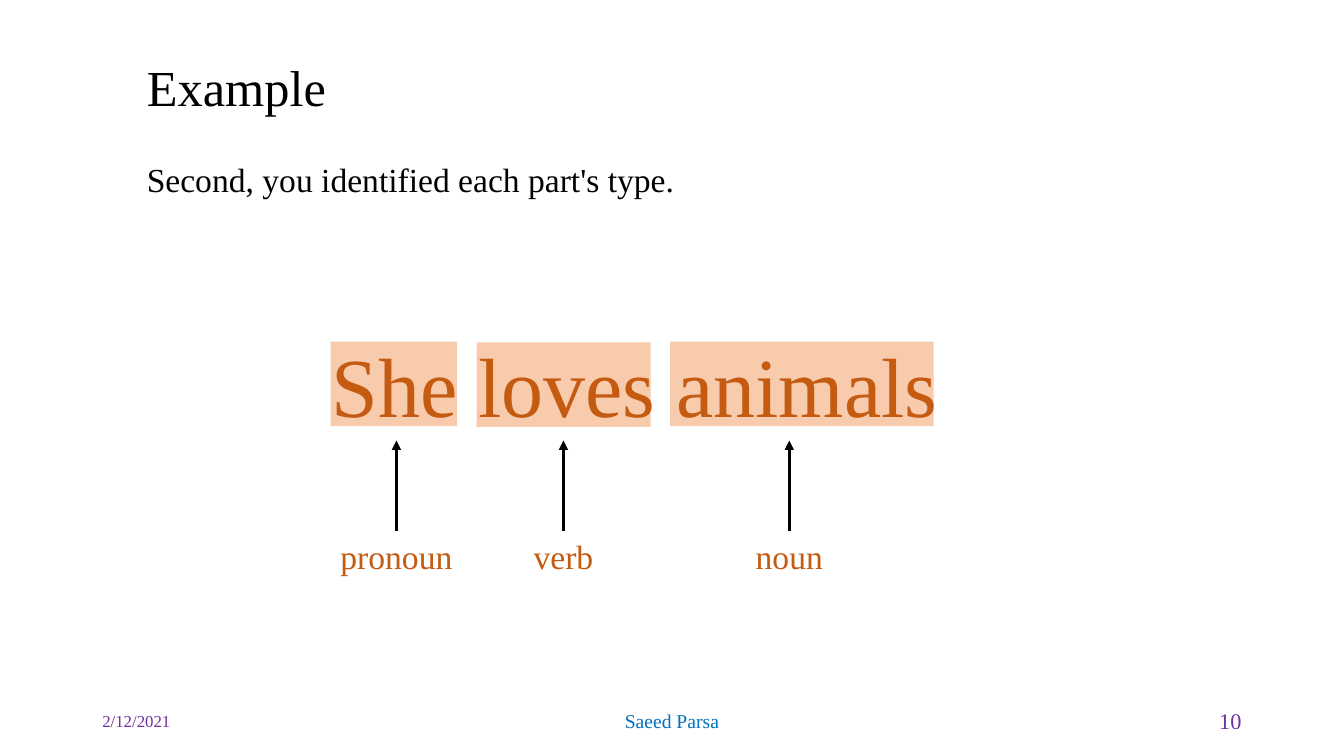
from lxml.etree import SubElement
from pptx import Presentation
from pptx.dml.color import RGBColor
from pptx.enum.shapes import MSO_CONNECTOR, MSO_SHAPE
from pptx.enum.text import MSO_ANCHOR as Anchor, MSO_AUTO_SIZE as AutoSize, PP_ALIGN as Align
from pptx.oxml.ns import qn
from pptx.util import Cm, Pt

BLACK = RGBColor(0x00, 0x00, 0x00)
PURPLE = RGBColor(0x70, 0x30, 0xA0)
BLUE = RGBColor(0x00, 0x70, 0xC0)
RUST = RGBColor(0xC5, 0x5A, 0x11)
PEACH = RGBColor(0xF8, 0xCB, 0xAD)
FONT = "Times New Roman"

TITLE = "Example"
STEP = "Second, you identified each part's type."
SENTENCE = "She loves animals"
# Highlight behind each word, right to left: left, top, width (cm)
HIGHLIGHTS = [(16.89, 8.61, 6.64), (12.01, 8.63, 4.39), (8.33, 8.61, 3.19)]
HIGHLIGHT_HEIGHT = 2.13
# Part of speech, arrow position, label width (cm)
PARTS = [("pronoun", 9.99, 3.6), ("verb", 14.2, 2.2), ("noun", 19.89, 2.4)]
ARROW_TOP, LABEL_TOP, LABEL_HEIGHT = 11.1, 13.37, 1.28
# Text, left, width (cm), size, colour, alignment
FOOTER = [
    ("2/12/2021", 2.33, 7.62, 12, PURPLE, Align.LEFT),
    ("Saeed Parsa", 11.22, 11.43, 14, BLUE, Align.CENTER),
    ("10", 23.92, 7.62, 16, PURPLE, Align.RIGHT),
]
FOOTER_TOP, FOOTER_HEIGHT = 17.66, 1.01


def write(shape, text, size, color, align=Align.LEFT, anchor=Anchor.TOP,
          wrap=True, fit=AutoSize.NONE):
    frame = shape.text_frame
    frame.text = text
    frame.word_wrap = wrap
    frame.auto_size = fit
    frame.vertical_anchor = anchor
    paragraph = frame.paragraphs[0]
    paragraph.alignment = align
    paragraph.font.name = FONT
    paragraph.font.size = Pt(size)
    paragraph.font.color.rgb = color
    return paragraph


def add_text(slide, box, *args, **options):
    shape = slide.shapes.add_textbox(*map(Cm, box))
    write(shape, *args, **options)
    return shape


def add_arrow_from(slide, label, x):
    arrow = slide.shapes.add_connector(
        MSO_CONNECTOR.STRAIGHT, Cm(x), Cm(LABEL_TOP), Cm(x), Cm(ARROW_TOP))
    arrow.begin_connect(label, 0)
    arrow.line.color.rgb = BLACK
    arrow.line.width = Pt(2.25)
    SubElement(arrow.line._get_or_add_ln(), qn("a:tailEnd"), type="triangle")
    SubElement(arrow._element.spPr, qn("a:effectLst"))


def main():
    prs = Presentation()
    prs.slide_width, prs.slide_height = Cm(33.87), Cm(19.05)
    slide = prs.slides.add_slide(prs.slide_layouts[5])

    title = slide.shapes.title
    title.left, title.top, title.width, title.height = map(Cm, (3.45, 1.47, 17.4, 1.63))
    write(title, TITLE, 36, BLACK, anchor=Anchor.MIDDLE).line_spacing = 0.9

    for text, left, width, size, color, align in FOOTER:
        add_text(slide, (left, FOOTER_TOP, width, FOOTER_HEIGHT),
                 text, size, color, align, Anchor.MIDDLE)

    add_text(slide, (3.45, 3.89, 28.07, 1.28), STEP, 24, BLACK,
             fit=AutoSize.SHAPE_TO_FIT_TEXT)

    for left, top, width in HIGHLIGHTS:
        highlight = slide.shapes.add_shape(
            MSO_SHAPE.RECTANGLE, *map(Cm, (left, top, width, HIGHLIGHT_HEIGHT)))
        highlight.shadow.inherit = False
        highlight.fill.solid()
        highlight.fill.fore_color.rgb = PEACH
        highlight.line.fill.background()

    add_text(slide, (8.1, 8.28, 15.8, 2.82), SENTENCE, 60, RUST,
             wrap=False, fit=AutoSize.SHAPE_TO_FIT_TEXT)

    for part, x, width in PARTS:
        label = add_text(slide, (x - width / 2, LABEL_TOP, width, LABEL_HEIGHT),
                         part, 24, RUST, Align.CENTER,
                         wrap=False, fit=AutoSize.SHAPE_TO_FIT_TEXT)
        add_arrow_from(slide, label, x)

    prs.save("out.pptx")


if __name__ == "__main__":
    main()
